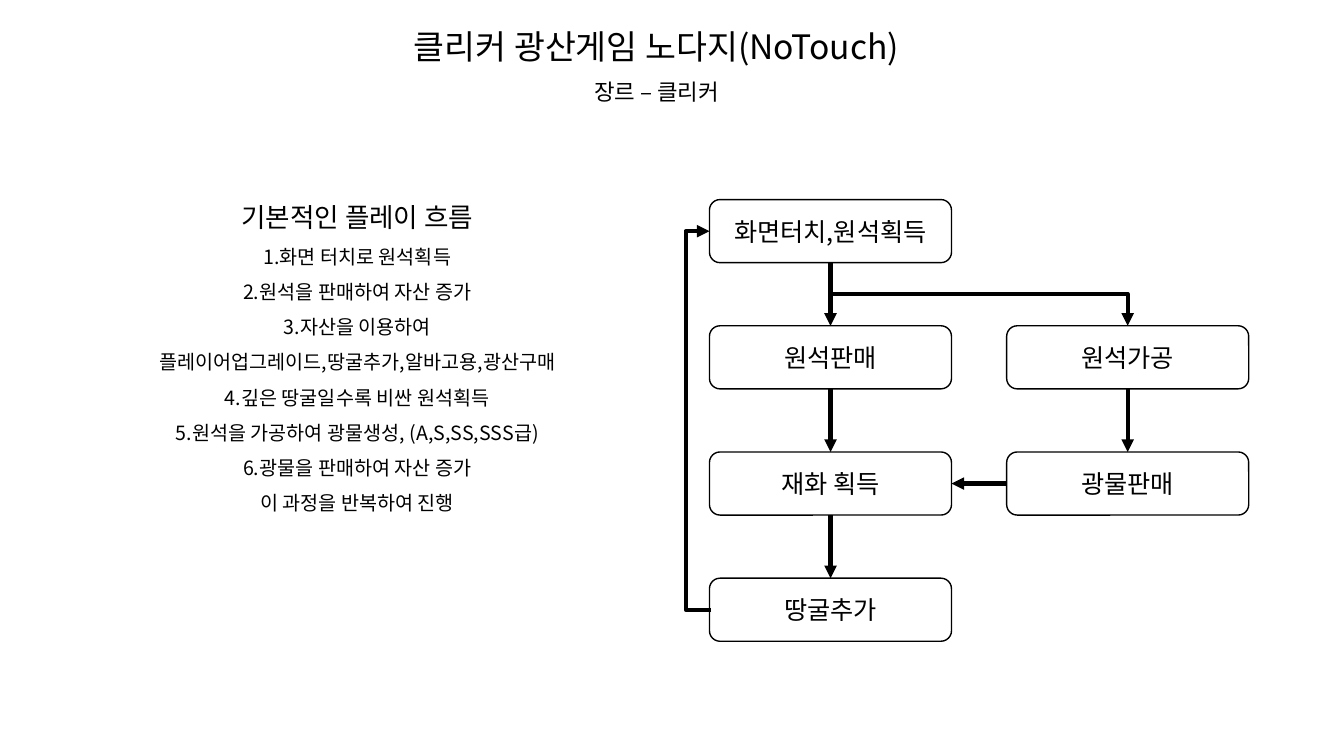
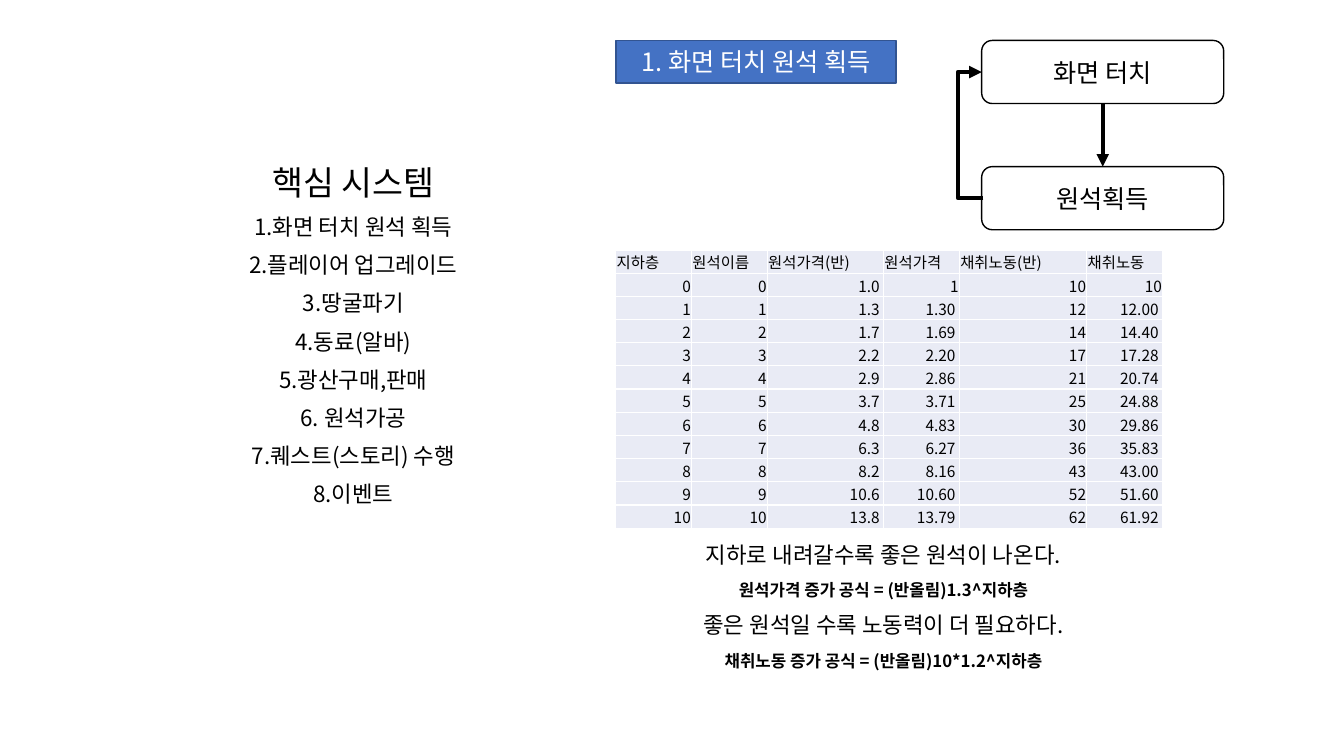
from dataclasses import dataclass

from lxml.etree import SubElement
from pptx import Presentation
from pptx.dml.color import RGBColor
from pptx.enum.shapes import MSO_CONNECTOR, MSO_SHAPE
from pptx.enum.text import MSO_ANCHOR, MSO_AUTO_SIZE, PP_ALIGN
from pptx.oxml.ns import qn
from pptx.util import Cm, Pt


@dataclass(frozen=True)
class Theme:
    """Colours, font and type sizes of the deck."""
    font: str = "Noto Sans CJK KR"
    ink: str = "000000"
    paper: str = "FFFFFF"
    blue: str = "4472C4"
    edge: str = "325491"
    pale: str = "E9EBF5"
    title: int = 24
    head: int = 19
    label: int = 18
    text: int = 16
    list: int = 14
    note: int = 12
    cell: int = 11


TOP, LEFT, BOTTOM, RIGHT = range(4)
WIDE, HIGH = 6.1, 1.59
STEP_X, STEP_Y = 7.49, 3.18
TEXT_W = 13.23


class Deck:
    """Holds the style and the current slide."""

    def __init__(self, theme):
        """Start an empty wide deck."""
        self.theme = theme
        self.show = Presentation()
        self.show.slide_width, self.show.slide_height = Cm(33.87), Cm(19.05)

    def page(self):
        """Add a slide with a title and a body."""
        self.slide = self.show.slides.add_slide(self.show.slide_layouts[1])

    def style(self, para, size, color=None, align=PP_ALIGN.CENTER, bold=False):
        """Set the font and alignment of a paragraph."""
        font = para.font
        font.name, font.size, font.bold = self.theme.font, Pt(size), bold
        font.color.rgb = RGBColor.from_string(color or self.theme.ink)
        para.alignment = align
        props = para._p.pPr.find(qn("a:defRPr"))
        SubElement(props, qn("a:ea"), typeface=self.theme.font)

    def fill_text(self, shape, box, lines):
        """Fill a text shape with (text, size, bold) lines."""
        shape.left, shape.top, shape.width, shape.height = map(Cm, box)
        frame = shape.text_frame
        frame.word_wrap, frame.auto_size = True, MSO_AUTO_SIZE.NONE
        frame.vertical_anchor = MSO_ANCHOR.TOP
        frame.text = "\n".join(text for text, *_ in lines)
        for para, (_, size, bold) in zip(frame.paragraphs, lines):
            para.line_spacing, para.space_before = 0.9, Pt(10)
            props = para._p.get_or_add_pPr()
            props.set("marL", "0")
            props.set("indent", "0")
            SubElement(props, qn("a:buNone"))
            self.style(para, size, bold=bold)

    def title(self, box, lines):
        """Fill the title placeholder."""
        self.fill_text(self.slide.shapes.title, box, lines)

    def body(self, box, lines):
        """Fill the body placeholder."""
        self.fill_text(self.slide.placeholders[1], box, lines)

    def note(self, box, lines):
        """Add a free text box."""
        self.fill_text(self.slide.shapes.add_textbox(*map(Cm, box)), box, lines)

    def shape(self, kind, box, text, line, color, fill=None):
        """Draw a labelled shape."""
        item = self.slide.shapes.add_shape(kind, *map(Cm, box))
        item.shadow.inherit = False
        if fill:
            item.fill.solid()
            item.fill.fore_color.rgb = RGBColor.from_string(fill)
        else:
            item.fill.background()
        item.line.color.rgb = RGBColor.from_string(line)
        item.line.width = Pt(1)
        item.text_frame.text = text
        self.style(item.text_frame.paragraphs[0], self.theme.label, color)
        return item

    def step(self, x, y, text):
        """Draw one rounded step of a flow."""
        ink = self.theme.ink
        return self.shape(MSO_SHAPE.ROUNDED_RECTANGLE, (x, y, WIDE, HIGH),
                          text, ink, ink)

    def banner(self, box, text):
        """Draw the blue section label."""
        look = self.theme
        self.shape(MSO_SHAPE.RECTANGLE, box, text, look.edge, look.paper, look.blue)

    def arrow(self, start, out, end, into, kind=MSO_CONNECTOR.STRAIGHT):
        """Join two steps with an arrow."""
        line = self.slide.shapes.add_connector(kind, 0, 0, 0, 0)
        line.begin_connect(start, out)
        line.end_connect(end, into)
        line.line.color.rgb = RGBColor.from_string(self.theme.ink)
        line.line.width = Pt(3)
        props = line._element.spPr
        SubElement(props.find(qn("a:ln")), qn("a:tailEnd"), type="triangle")
        SubElement(props, qn("a:effectLst"))
        return line

    def bend(self, line, box, turn, flip=False):
        """Place an elbow in its turned frame."""
        line.left, line.top, line.width, line.height = map(int, box)
        frame = line._element.spPr.find(qn("a:xfrm"))
        for key in ("flipH", "flipV"):
            frame.attrib.pop(key, None)
        frame.set("rot", str(turn * 60000))
        if flip:
            frame.set("flipH", "1")

    def fork(self, start, end):
        """Lead down, across and down to another column."""
        line = self.arrow(start, BOTTOM, end, TOP, MSO_CONNECTOR.ELBOW)
        wide, high = line.width, line.height
        x, y = line.left + wide / 2, line.top + high / 2
        self.bend(line, (x - high / 2, y - wide / 2, high, wide), 270, True)

    def loop(self, start, end):
        """Lead back up along the left side."""
        line = self.arrow(start, LEFT, end, LEFT, MSO_CONNECTOR.ELBOW)
        thin, reach = 0.04, 0.6
        self.bend(line, (end.left, line.top, Cm(thin), line.height), 180)
        geom = line._element.spPr.find(qn("a:prstGeom"))
        guides = geom.find(qn("a:avLst"))
        if guides is None:
            guides = SubElement(geom, qn("a:avLst"))
        ratio = round((reach + thin) / thin * 100000)
        SubElement(guides, qn("a:gd"), name="adj1", fmla=f"val {ratio}")

    def cell(self, cell, text, align):
        """Fill one table cell."""
        cell.text = text
        cell.vertical_anchor = MSO_ANCHOR.MIDDLE
        cell.margin_left = cell.margin_top = Cm(0.02)
        cell.margin_right = Cm(0.1 if "." in text else 0.02)
        cell.margin_bottom = 0
        props = cell._tc.get_or_add_tcPr()
        for side in ("lnL", "lnR", "lnT", "lnB"):
            edge = SubElement(props, qn(f"a:{side}"), w=str(Pt(1)))
            fill = SubElement(edge, qn("a:solidFill"))
            SubElement(fill, qn("a:srgbClr"), val=self.theme.paper)
        cell.fill.solid()
        cell.fill.fore_color.rgb = RGBColor.from_string(self.theme.pale)
        self.style(cell.text_frame.paragraphs[0], self.theme.cell, align=align)

    def table(self, x, y, cols, high, rows):
        """Draw a plain table with a heading row."""
        size = (x, y, sum(cols), high * len(rows))
        table = self.slide.shapes.add_table(
            len(rows), len(cols), *map(Cm, size)).table
        table.first_row = table.horz_banding = False
        for col, wide in zip(table.columns, cols):
            col.width = Cm(wide)
        for r, row in enumerate(rows):
            table.rows[r].height = Cm(high)
            align = PP_ALIGN.RIGHT if r else PP_ALIGN.LEFT
            for c, text in enumerate(row):
                self.cell(table.cell(r, c), text, align)


def lines(size, *texts):
    """Give plain lines of one size."""
    return [(text, size, False) for text in texts]


def prices():
    """Work out price and labour for each floor."""
    rows = [("지하층", "원석이름", "원석가격(반)", "원석가격", "채취노동(반)", "채취노동")]
    for floor in range(11):
        price, work = 1.3 ** floor, 10 * 1.2 ** floor
        exact = ".2f" if floor else ".0f"
        rows.append((str(floor), str(floor), f"{price:.1f}", f"{price:{exact}}",
                     f"{work:.0f}", f"{work:{exact}}"))
    return rows


def flow(deck):
    """Build the slide on the flow of play."""
    look = deck.theme
    deck.page()
    deck.title((9.93, 0.64, TEXT_W, 2.39),
               lines(look.title, "클리커 광산게임 노다지(NoTouch)")
               + lines(look.text, "장르 – 클리커"))
    deck.body((2.39, 5.03, TEXT_W, 10.95),
              lines(look.head, "기본적인 플레이 흐름")
              + lines(look.list, "1.화면 터치로 원석획득", "2.원석을 판매하여 자산 증가",
                      "3.자산을 이용하여",
                      "플레이어업그레이드,땅굴추가,알바고용,광산구매",
                      "4.깊은 땅굴일수록 비싼 원석획득",
                      "5.원석을 가공하여 광물생성, (A,S,SS,SSS급)",
                      "6.광물을 판매하여 자산 증가", "이 과정을 반복하여 진행"))
    x, y = 17.88, 5.03
    touch, sell, earn, dig = [
        deck.step(x, y + i * STEP_Y, text) for i, text in
        enumerate(("화면터치,원석획득", "원석판매", "재화 획득", "땅굴추가"))]
    craft, trade = [
        deck.step(x + STEP_X, y + i * STEP_Y, text) for i, text in
        enumerate(("원석가공", "광물판매"), 1)]
    for start, end in ((touch, sell), (sell, earn), (earn, dig), (craft, trade)):
        deck.arrow(start, BOTTOM, end, TOP)
    deck.arrow(trade, LEFT, earn, RIGHT)
    deck.fork(touch, craft)
    deck.loop(dig, touch)


def core(deck):
    """Build the slide on the core system."""
    look = deck.theme
    deck.page()
    deck.title((2.29, 4.06, TEXT_W, 1.26), lines(look.title, "핵심 시스템"))
    deck.body((2.29, 5.32, TEXT_W, 9.69),
              lines(look.text, "1.화면 터치 원석 획득", "2.플레이어 업그레이드",
                    "3.땅굴파기", "4.동료(알바)", "5.광산구매,판매",
                    "6. 원석가공", "7.퀘스트(스토리) 수행", "8.이벤트"))
    x, y = 24.74, 1.02
    touch = deck.step(x, y, "화면 터치")
    gain = deck.step(x, y + STEP_Y, "원석획득")
    deck.arrow(touch, BOTTOM, gain, TOP)
    deck.loop(gain, touch)
    deck.banner((15.52, y, 7.06, 1.07), "1. 화면 터치 원석 획득")
    deck.table(15.52, 6.3, (1.91, 1.91, 2.93, 1.91, 3.21, 1.91), 0.58, prices())
    deck.note((15.65, 13.59, TEXT_W, 4.98), [
        ("지하로 내려갈수록 좋은 원석이 나온다.", look.text, False),
        ("원석가격 증가 공식 = (반올림)1.3^지하층", look.note, True),
        ("좋은 원석일 수록 노동력이 더 필요하다.", look.text, False),
        ("채취노동 증가 공식 = (반올림)10*1.2^지하층", look.note, True)])


def main():
    """Build and save the deck."""
    deck = Deck(Theme())
    flow(deck)
    core(deck)
    deck.show.save("out.pptx")


main()
